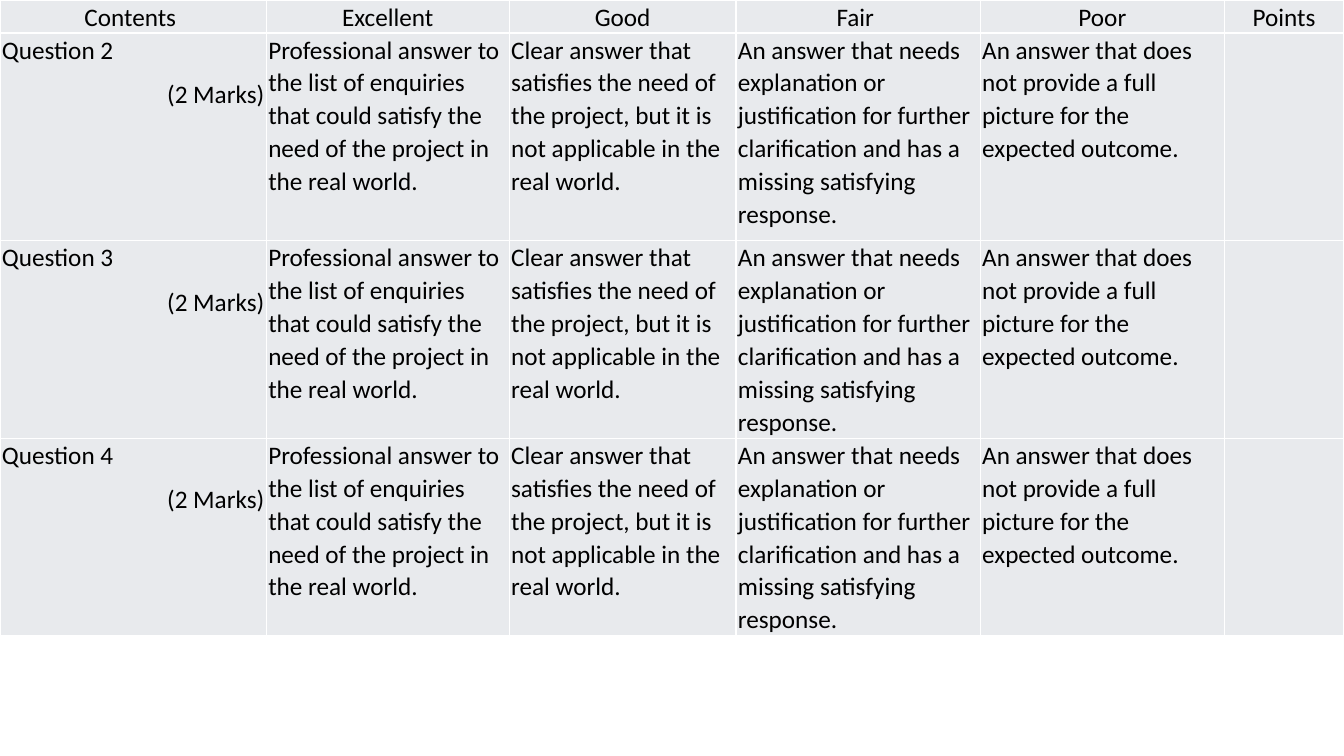
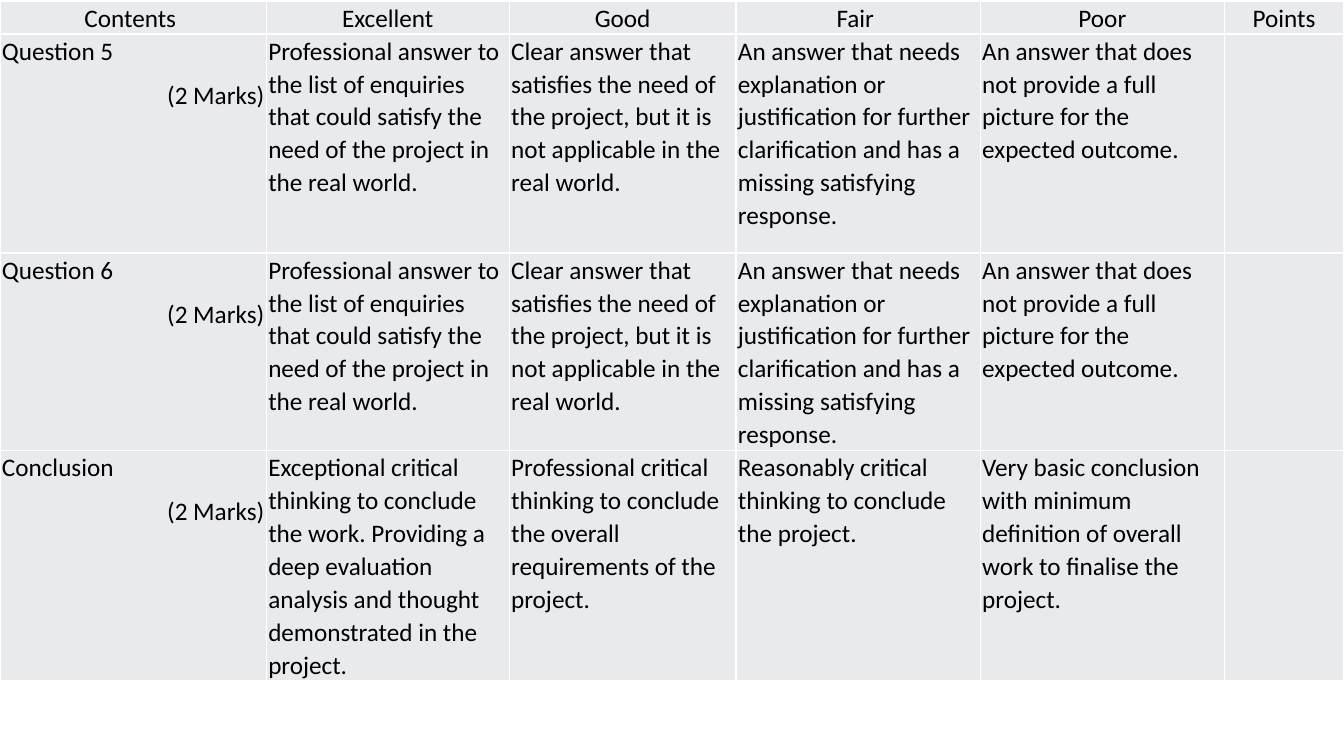
from lxml import etree
from pptx import Presentation
from pptx.dml.color import RGBColor
from pptx.enum.text import PP_ALIGN
from pptx.oxml.ns import qn
from pptx.util import Pt

LEFT, CENTER, RIGHT = PP_ALIGN.LEFT, PP_ALIGN.CENTER, PP_ALIGN.RIGHT
COLORS = {"cell": "E8EAED", "border": "FFFFFF", "text": "000000"}
FONT, FONT_SIZE = "Calibri", 18
LINE_SPACING, SPACE_AFTER = 1.07, 8
CELL_MARGIN = 1.4
SLIDE_W, SLIDE_H = 960, 540
BLANK_LAYOUT = 6

COLUMN_WIDTHS = [190.25, 173.5, 162, 174.5, 174.5, 85]
HEADER_HEIGHT = 23.5
HEADINGS = ["Contents ", "Excellent", "Good", "Fair ", "Poor", "Points"]
MARKS = "(2 Marks)"
QUESTION_LEVELS = [
    "Professional answer to the list of enquiries that could satisfy the need "
    "of the project in the real world.",
    "Clear answer that satisfies the need of the project, but it is not "
    "applicable in the real world.",
    "An answer that needs explanation or justification for further "
    "clarification and has a missing satisfying response.",
    "An answer that does not provide a full picture for the expected outcome.",
]
CONCLUSION_LEVELS = [
    "Exceptional critical thinking to conclude the work. Providing a deep "
    "evaluation analysis and thought demonstrated in the project.",
    "Professional critical thinking to conclude the overall requirements of "
    "the project.",
    "Reasonably critical thinking to conclude the project.",
    "Very basic conclusion with minimum definition of overall work to "
    "finalise the project.",
]

# Each slide: table top, then (criterion, row height, level descriptions)
SLIDES = [
    (0, [("Question 2", 148.5, QUESTION_LEVELS),
         ("Question 3", 141, QUESTION_LEVELS),
         ("Question 4", 141, QUESTION_LEVELS)]),
    (0.75, [("Question 5", 156.5, QUESTION_LEVELS),
            ("Question 6", 141, QUESTION_LEVELS),
            ("Conclusion", 164.5, CONCLUSION_LEVELS)]),
]


def rgb(name):
    return RGBColor.from_string(COLORS[name])


def set_borders(cell, width=1):
    tc_pr = cell._tc.get_or_add_tcPr()
    for i, side in enumerate(("a:lnL", "a:lnR", "a:lnT", "a:lnB")):
        ln = etree.Element(qn(side), w=str(Pt(width)))
        fill = etree.SubElement(ln, qn("a:solidFill"))
        etree.SubElement(fill, qn("a:srgbClr"), val=COLORS["border"])
        tc_pr.insert(i, ln)


def fill_cell(cell, paragraphs=()):
    """Style a cell and write its (text, alignment) paragraphs."""
    cell.margin_left = cell.margin_right = Pt(CELL_MARGIN)
    cell.margin_top = cell.margin_bottom = 0
    cell.fill.solid()
    cell.fill.fore_color.rgb = rgb("cell")
    set_borders(cell)
    tf = cell.text_frame
    for i, (text, alignment) in enumerate(paragraphs):
        p = tf.add_paragraph() if i else tf.paragraphs[0]
        p.text = text
        p.alignment = alignment
        p.line_spacing = LINE_SPACING
        p.space_after = Pt(SPACE_AFTER)
        font = p.runs[0].font
        font.name, font.size = FONT, Pt(FONT_SIZE)
        font.color.rgb = rgb("text")


def add_rubric(s, left, top, criteria):
    heights = [HEADER_HEIGHT] + [height for _, height, _ in criteria]
    table = s.shapes.add_table(
        len(heights), len(COLUMN_WIDTHS), Pt(left), Pt(top),
        Pt(sum(COLUMN_WIDTHS)), Pt(sum(heights))).table
    for column, width in zip(table.columns, COLUMN_WIDTHS):
        column.width = Pt(width)
    for row, height in zip(table.rows, heights):
        row.height = Pt(height)

    rows = [[[(heading, CENTER)] for heading in HEADINGS]]
    for name, _, levels in criteria:
        rows.append([[(name, LEFT), (MARKS, RIGHT)],
                     *([(level, LEFT)] for level in levels),
                     []])
    for row, contents in zip(table.rows, rows):
        for cell, paragraphs in zip(row.cells, contents):
            fill_cell(cell, paragraphs)


def main():
    prs = Presentation()
    prs.slide_width, prs.slide_height = Pt(SLIDE_W), Pt(SLIDE_H)
    for top, criteria in SLIDES:
        s = prs.slides.add_slide(prs.slide_layouts[BLANK_LAYOUT])
        add_rubric(s, 0, top, criteria)
    prs.save("out.pptx")


if __name__ == "__main__":
    main()
